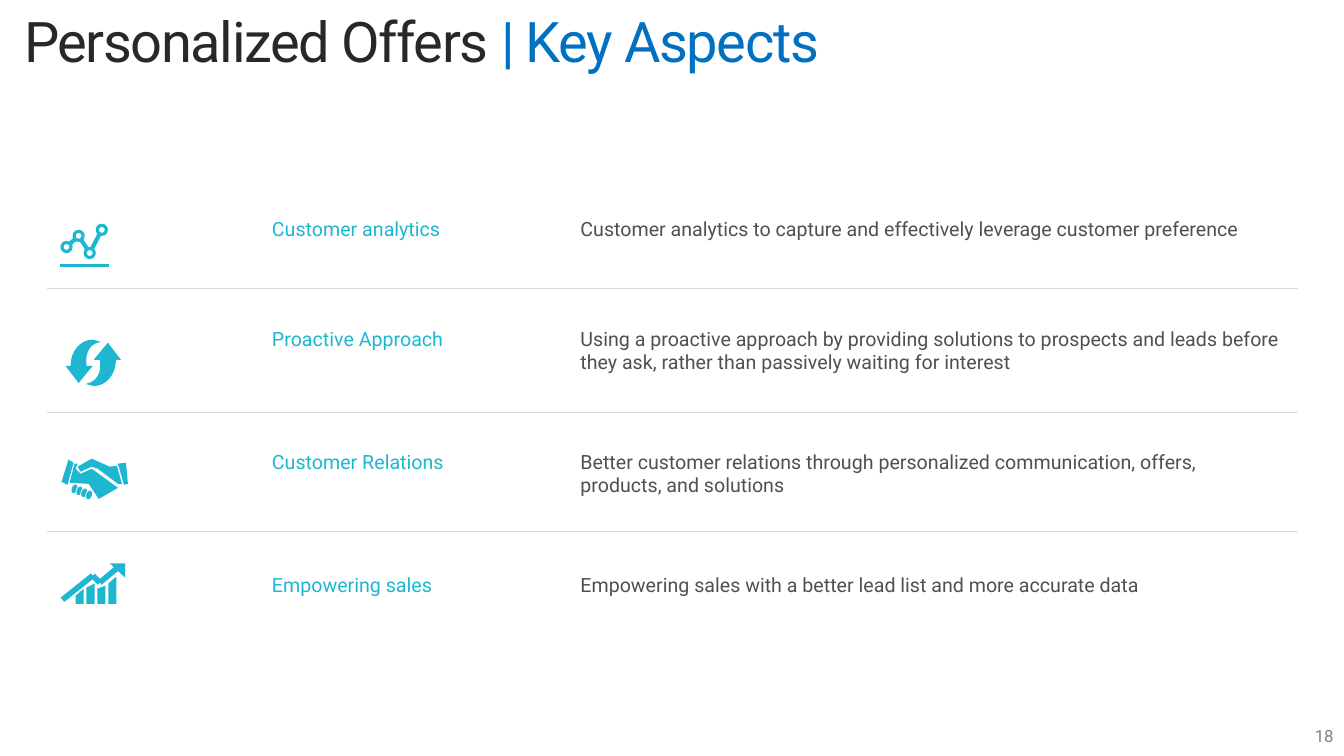
from dataclasses import dataclass
from itertools import pairwise

from lxml.etree import SubElement
from pptx import Presentation
from pptx.dml.color import RGBColor
from pptx.enum.shapes import MSO_CONNECTOR, MSO_SHAPE
from pptx.enum.text import MSO_ANCHOR, MSO_AUTO_SIZE, PP_ALIGN
from pptx.oxml.ns import qn
from pptx.util import Emu, Inches, Pt


@dataclass(frozen=True)
class Theme:
    font: str = "Roboto"
    ink: str = "282828"
    blue: str = "0070C0"
    teal: str = "1EB7D2"
    body: str = "505050"
    muted: str = "808080"
    rule: str = "D9D9D9"
    white: str = "FFFFFF"
    title_size: int = 40
    body_size: int = 14
    number_size: int = 12


CELL = Inches(0.1)
COLUMNS, ROWS = 133.33, 75

ASPECTS = [
    (21, "Customer analytics",
     "Customer analytics to capture and effectively leverage customer preference"),
    (31.9, "Proactive Approach",
     "Using a proactive approach by providing solutions to prospects and leads before they ask, "
     "rather than passively waiting for interest"),
    (44.1, "Customer Relations",
     "Better customer relations through personalized communication, offers, products, and solutions"),
    (56.3, "Empowering sales",
     "Empowering sales with a better lead list and more accurate data"),
]
DIVIDER_ROWS = [28.6, 40.9, 52.7]

ANALYTICS_NODES = [(6.6, 24.5), (7.8, 23.4), (8.9, 25.1), (10.1, 22.8)]

DOWN_ARROW = [(2.1, 2.6), (2, 2.1, 1.9, 0.5, 3.5, 0.2), (2.7, 0), (1.5, 0, 0.5, 1.1, 0.5, 2.6),
              (0, 2.6), (1.3, 4.3), (2.7, 2.6)]
CYCLE_SIZE = (5.5, 4.6)

UPPER_HAND = [(4.9, 0.8), (3.1, 0), (1.7, 0.8), (2, 1.3), (3.1, 0.8), (3.7, 1), (5.7, 2.5),
              (6.1, 2.5), (5.6, 0.7)]
LOWER_HAND = [(3.1, 1), (2, 1.5), (1.5, 1), (1.7, 0.5), (1.4, 0.5), (0.9, 2.4), (2.8, 2.5),
              (3.8, 4), (5.7, 2.9)]
LEFT_CUFF = [(1.3, 0.4), (0.8, 0.1), (0.1, 2.3), (0.7, 2.6)]
RIGHT_CUFF = [(6.5, 0.4), (5.7, 0.5), (6.3, 2.6), (6.7, 2.5)]

GROWTH_TREND = [(6.2, 59.5), (9.2, 57.1), (9.9, 57.8), (11.7, 56.3)]
GROWTH_HEAD = [(5, 0), (6.5, 0), (6.5, 1.4)]
BAR_TOPS = [(3.2, 2.5), (2.4, 2), (2.5, 2.2), (2, 1.3)]
BAR_BOTTOM, BAR_WIDTH, BAR_PITCH = 4, 0.8, 1.08


def trace(steps, samples=8):
    points = [steps[0]]
    for step in steps[1:]:
        if len(step) == 2:
            points.append(step)
            continue
        controls = [points[-1], step[:2], step[2:4], step[4:]]
        for index in range(1, samples + 1):
            t = index / samples
            weights = ((1 - t) ** 3, 3 * t * (1 - t) ** 2, 3 * t * t * (1 - t), t ** 3)
            points.append(tuple(sum(weight * control[axis] for weight, control in zip(weights, controls))
                                for axis in (0, 1)))
    return points


class SlideBuilder:
    def __init__(self, slide, theme):
        self.shapes = slide.shapes
        self.theme = theme

    def grid(self, *cells):
        return [Emu(round(cell * CELL)) for cell in cells]

    def color(self, value):
        return RGBColor.from_string(value)

    def text(self, box, runs, size, align=PP_ALIGN.LEFT, anchor=MSO_ANCHOR.TOP,
             line_spacing=None, tracking=None):
        frame = self.shapes.add_textbox(*self.grid(*box)).text_frame
        frame.word_wrap = True
        grows = anchor == MSO_ANCHOR.TOP
        frame.auto_size = MSO_AUTO_SIZE.SHAPE_TO_FIT_TEXT if grows else MSO_AUTO_SIZE.NONE
        frame.vertical_anchor = anchor
        paragraph = frame.paragraphs[0]
        paragraph.alignment = align
        paragraph.line_spacing = line_spacing
        for content, color in runs:
            run = paragraph.add_run()
            run.text = content
            run.font.name = self.theme.font
            run.font.size = Pt(size)
            run.font.color.rgb = self.color(color)
            if tracking is not None:
                run.font._element.set("spc", str(tracking * 100))

    def line(self, start, end, color, width):
        connector = self.shapes.add_connector(MSO_CONNECTOR.STRAIGHT, *self.grid(*start, *end))
        connector.line.color.rgb = self.color(color)
        connector.line.width = Pt(width)
        SubElement(connector._element.spPr, qn("a:effectLst"))
        return connector

    def polyline(self, points, width):
        return [self.line(start, end, self.theme.teal, width) for start, end in pairwise(points)]

    def paint(self, shape, fill, line_width=0):
        shape.shadow.inherit = False
        shape.fill.solid()
        shape.fill.fore_color.rgb = self.color(fill)
        if line_width:
            shape.line.color.rgb = self.color(self.theme.teal)
            shape.line.width = Pt(line_width)
        else:
            shape.line.fill.background()
        return shape

    def oval(self, center, width, height, fill, line_width=0):
        x, y = center
        box = self.grid(x - width / 2, y - height / 2, width, height)
        return self.paint(self.shapes.add_shape(MSO_SHAPE.OVAL, *box), fill, line_width)

    def outline(self, origin, steps):
        points = [self.grid(*point) for point in trace(steps)]
        builder = self.shapes.build_freeform(*points[0], scale=1.0)
        builder.add_line_segments(points[1:], close=True)
        return self.paint(builder.convert_to_shape(*self.grid(*origin)), self.theme.teal)

    def analytics_icon(self):
        parts = self.polyline(ANALYTICS_NODES, 3)
        parts += [self.oval(node, 0.9, 0.9, self.theme.white, 2.25) for node in ANALYTICS_NODES]
        parts += self.polyline([(5.95, 26.35), (10.8, 26.35)], 2.25)
        self.shapes.add_group_shape(parts)

    def cycle_icon(self, origin):
        up_arrow = [tuple(CYCLE_SIZE[index % 2] - value for index, value in enumerate(step))
                    for step in DOWN_ARROW]
        self.shapes.add_group_shape([self.outline(origin, arrow) for arrow in (DOWN_ARROW, up_arrow)])

    def handshake_icon(self, origin):
        left, top = origin
        parts = [self.outline(origin, steps)
                 for steps in (LOWER_HAND, UPPER_HAND, LEFT_CUFF, RIGHT_CUFF)]
        for index in range(4):
            finger = self.oval((left + 1.4 + 0.48 * index, top + 3 + 0.2 * index),
                               0.65, 1, self.theme.teal)
            finger.rotation = 20
            finger.line.color.rgb = self.color(self.theme.white)
            finger.line.width = Pt(0.5)
            parts.append(finger)
        self.shapes.add_group_shape(parts)

    def growth_icon(self, origin):
        parts = self.polyline(GROWTH_TREND, 4)
        parts.append(self.outline(origin, GROWTH_HEAD))
        for index, (left_top, right_top) in enumerate(BAR_TOPS):
            left = 1.6 + BAR_PITCH * index
            right = left + BAR_WIDTH
            parts.append(self.outline(origin, [(left, left_top), (left, BAR_BOTTOM),
                                               (right, BAR_BOTTOM), (right, right_top)]))
        self.shapes.add_group_shape(parts)


def main():
    presentation = Presentation()
    presentation.slide_width = Emu(round(COLUMNS * CELL))
    presentation.slide_height = Emu(round(ROWS * CELL))
    theme = Theme()
    builder = SlideBuilder(presentation.slides.add_slide(presentation.slide_layouts[6]), theme)

    builder.text((1.4, -0.1, 132, 8.9),
                 [("Personalized Offers ", theme.ink), ("| Key Aspects", theme.blue)],
                 theme.title_size, anchor=MSO_ANCHOR.MIDDLE, line_spacing=0.9, tracking=-1)
    for index, (row, heading, description) in enumerate(ASPECTS):
        width = 71.9 if index < 2 else 69.6
        height = 5.7 if index in (1, 2) else 3.4
        builder.text((26, row, 20.3, 3.4), [(heading, theme.teal)], theme.body_size)
        builder.text((56.6, row, width, height), [(description, theme.body)], theme.body_size)
    for row in DIVIDER_ROWS:
        builder.line((4.7, row), (128.8, row), theme.rule, 0.75)

    builder.analytics_icon()
    builder.cycle_icon((6.5, 33.7))
    builder.handshake_icon((6, 45.5))
    builder.growth_icon((5.9, 55.9))
    builder.text((103.3, 71, 30, 4), [("18", theme.muted)], theme.number_size,
                 align=PP_ALIGN.RIGHT, anchor=MSO_ANCHOR.MIDDLE)
    presentation.save("out.pptx")


if __name__ == "__main__":
    main()
